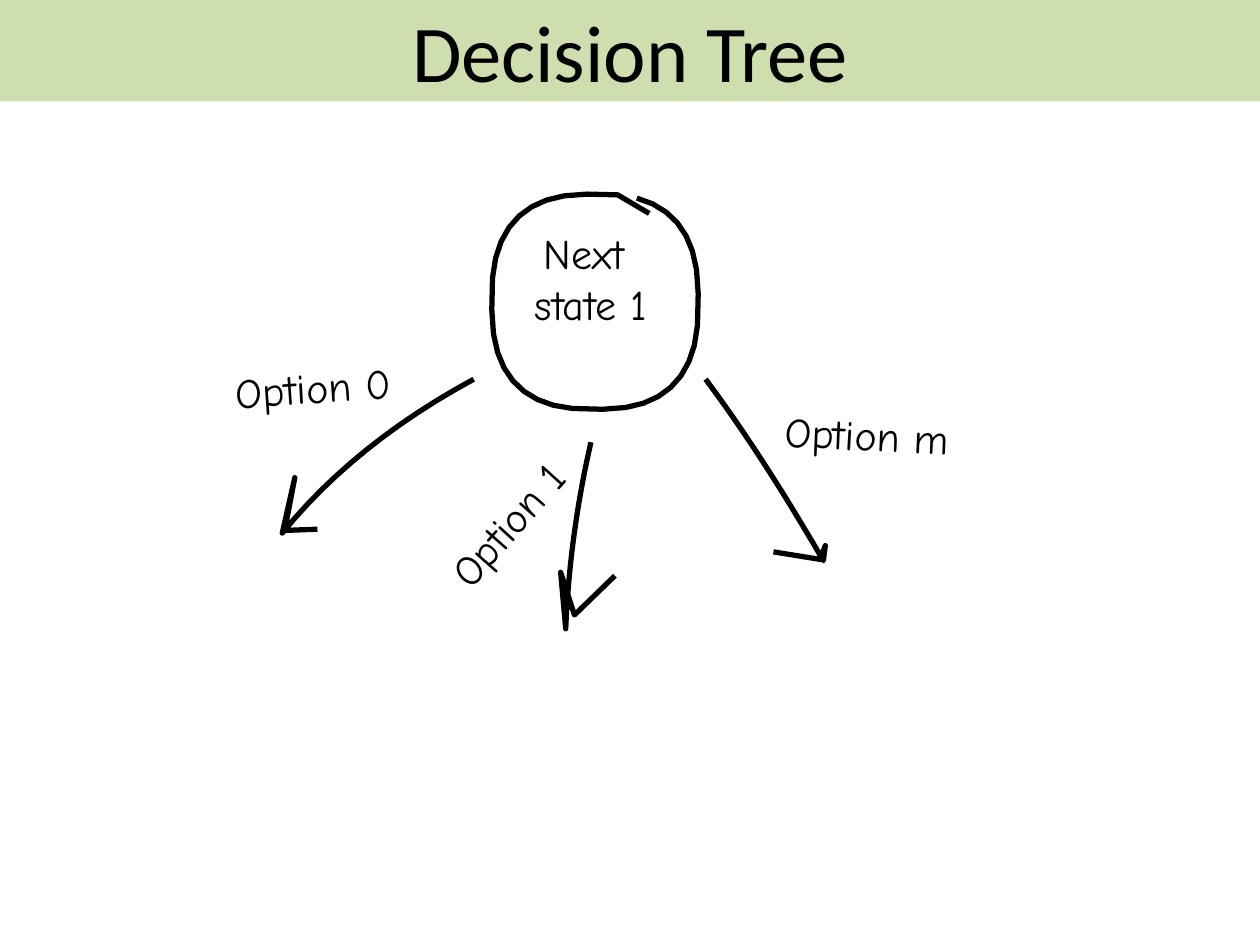
from dataclasses import dataclass
from math import cos, copysign, radians, sin

from lxml import etree
from pptx import Presentation
from pptx.dml.color import RGBColor
from pptx.enum.text import MSO_ANCHOR, MSO_AUTO_SIZE, PP_ALIGN
from pptx.oxml.ns import qn
from pptx.util import Pt

CENTER, LEFT = PP_ALIGN.CENTER, PP_ALIGN.LEFT
MIDDLE = MSO_ANCHOR.MIDDLE
GROW, FIXED = MSO_AUTO_SIZE.SHAPE_TO_FIT_TEXT, MSO_AUTO_SIZE.NONE
TITLE_ONLY = 5

COLORS = {"ink": "000000", "banner": "C3D69B"}
TITLE_FONT, HAND_FONT = "Calibri", "Comic Neue"
SLIDE_WIDTH, SLIDE_HEIGHT, BANNER_HEIGHT = 720, 540, 58
LABEL_HEIGHT = 36

STATE_CENTER = (340, 172.4)
STATE_RADII = (59, 61.5)
SQUARENESS = 2.6
PEN_DOWN = (371, 122)
SWEEP_START, SWEEP_END, SWEEP_STEP = 82, 432, 10
SHAFT_STEPS = 12


@dataclass
class Option:
    words: str
    label_left: float
    label_top: float
    label_width: float
    rotation: float
    start: tuple
    middle: tuple
    tip: tuple
    first_barb: tuple
    heel: tuple
    second_barb: tuple


OPTIONS = [
    Option("Option 0", 127.4, 203, 108.7, 356,
           start=(270.7, 216.7), middle=(209.5, 257), tip=(161.3, 304.6),
           first_barb=(168.5, 272.9), heel=(162.7, 303.1),
           second_barb=(181.4, 302.4)),
    Option("Option 1", 239.8, 279.4, 103.7, 311.4,
           start=(337.7, 252.7), middle=(328, 306), tip=(323.3, 359.3),
           first_barb=(320.4, 327), heel=(328.3, 351.4),
           second_barb=(351.4, 329)),
    Option("Option m", 441.4, 230.4, 112.3, 2.6,
           start=(403.2, 216.7), middle=(436, 264), tip=(470.5, 320.4),
           first_barb=(471.6, 311.8), heel=(468.7, 319.7),
           second_barb=(442, 315.4)),
]


def rgb(name):
    return RGBColor.from_string(COLORS[name])


def add_run(paragraph, words, size, font_name):
    run = paragraph.add_run()
    run.text = words
    run.font.size = Pt(size)
    run.font.name = font_name
    run.font.color.rgb = rgb("ink")


def format_title(slide, words):
    banner = slide.shapes.title
    banner.left, banner.top = Pt(0), Pt(0)
    banner.width, banner.height = Pt(SLIDE_WIDTH), Pt(BANNER_HEIGHT)
    banner.fill.solid()
    banner.fill.fore_color.rgb = rgb("banner")
    tint = banner.fill._xPr.find(".//" + qn("a:srgbClr"))
    etree.SubElement(tint, qn("a:alpha")).set("val", "80000")
    frame = banner.text_frame
    frame.auto_size = FIXED
    frame.vertical_anchor = MIDDLE
    frame.paragraphs[0].alignment = CENTER
    add_run(frame.paragraphs[0], words, 46, TITLE_FONT)


def add_label(slide, lines, bounds, rotation=0, wrap=False, alignment=LEFT):
    label = slide.shapes.add_textbox(*map(Pt, bounds))
    label.rotation = rotation
    frame = label.text_frame
    frame.word_wrap = wrap
    frame.auto_size = GROW
    for index, words in enumerate(lines):
        paragraph = frame.add_paragraph() if index else frame.paragraphs[0]
        paragraph.alignment = alignment
        add_run(paragraph, words, 24, HAND_FONT)


def add_stroke(slide, points):
    first, *rest = [(Pt(x), Pt(y)) for x, y in points]
    builder = slide.shapes.build_freeform(*first)
    builder.add_line_segments(rest, close=False)
    stroke = builder.convert_to_shape()
    stroke.shadow.inherit = False
    stroke.fill.background()
    stroke.line.color.rgb = rgb("ink")
    stroke.line.width = Pt(3)


def soften(value):
    return copysign(abs(value) ** (2 / SQUARENESS), value)


def rim_point(degrees):
    angle = radians(degrees)
    return (STATE_CENTER[0] + STATE_RADII[0] * soften(cos(angle)),
            STATE_CENTER[1] - STATE_RADII[1] * soften(sin(angle)))


def add_state(slide, lines):
    add_label(slide, lines, (293, 126.7, 89.3, 65.5),
              wrap=True, alignment=CENTER)
    sweep = range(SWEEP_START, SWEEP_END + 1, SWEEP_STEP)
    add_stroke(slide, [PEN_DOWN] + [rim_point(degrees) for degrees in sweep])


def bend(start, middle, end, t):
    control = 2 * middle - (start + end) / 2
    return (1 - t) ** 2 * start + 2 * t * (1 - t) * control + t ** 2 * end


def shaft_points(option):
    axes = list(zip(option.start, option.middle, option.tip))
    return [tuple(bend(*axis, step / SHAFT_STEPS) for axis in axes)
            for step in range(SHAFT_STEPS + 1)]


def add_option(slide, option):
    head = [option.first_barb, option.heel, option.second_barb]
    add_stroke(slide, shaft_points(option) + head)
    bounds = (option.label_left, option.label_top,
              option.label_width, LABEL_HEIGHT)
    add_label(slide, [option.words], bounds, option.rotation)


def main():
    deck = Presentation()
    deck.slide_width, deck.slide_height = Pt(SLIDE_WIDTH), Pt(SLIDE_HEIGHT)
    slide = deck.slides.add_slide(deck.slide_layouts[TITLE_ONLY])
    format_title(slide, "Decision Tree")
    add_state(slide, ["Next ", "state 1"])
    for option in OPTIONS:
        add_option(slide, option)
    deck.save("out.pptx")


if __name__ == "__main__":
    main()
